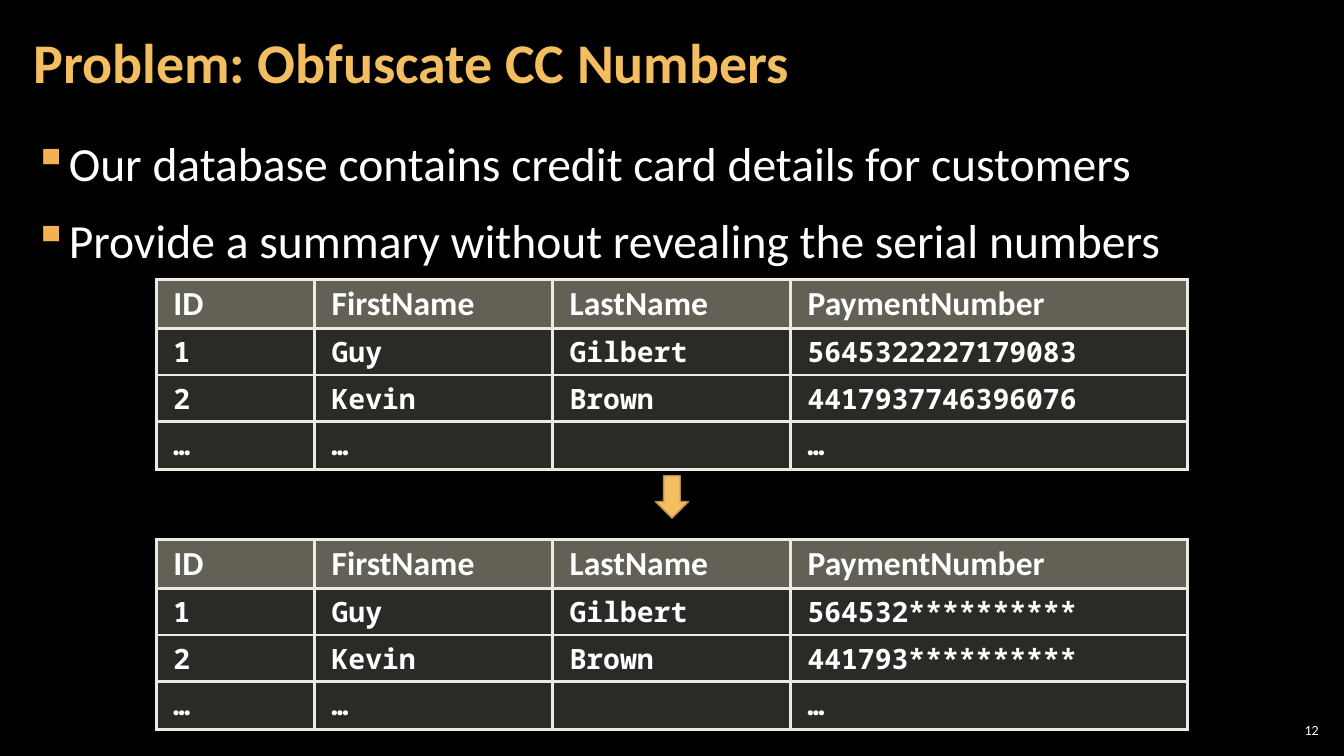
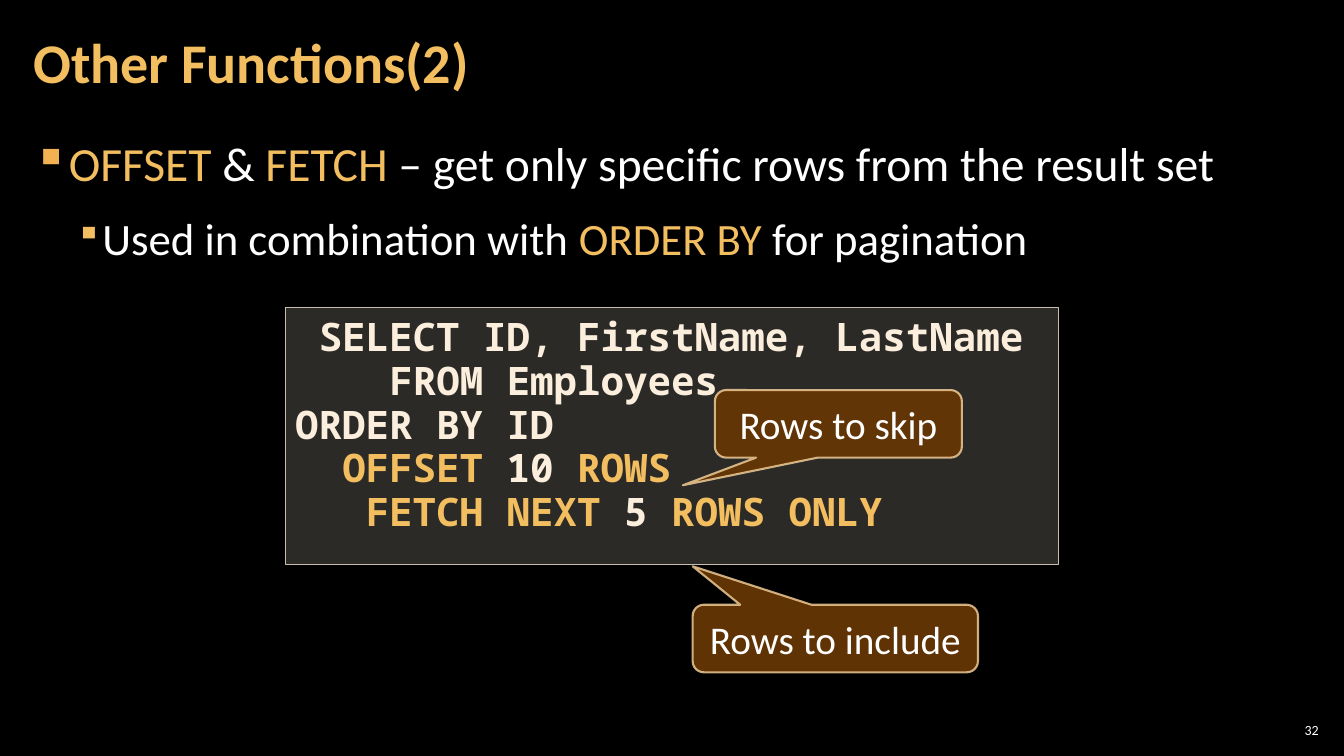
from dataclasses import dataclass

from lxml import etree
from pptx import Presentation
from pptx.dml.color import RGBColor
from pptx.enum import shapes, text
from pptx.oxml.ns import qn
from pptx.util import Inches, Pt

GOLD = RGBColor(0xF3, 0xBE, 0x60)
BULLET_GOLD = RGBColor(0xF2, 0xB2, 0x54)
ARROW_EDGE = RGBColor(0xB4, 0x8D, 0x47)
WHITE = RGBColor(0xFF, 0xFF, 0xFF)
BLACK = RGBColor(0x00, 0x00, 0x00)
CREAM = RGBColor(0xFB, 0xEE, 0xDC)
HEADER_FILL = RGBColor(0xC6, 0xC0, 0xAA)
PANEL_FILL = RGBColor(0xD9, 0xD5, 0xC7)
PANEL_EDGE = RGBColor(0xC7, 0xBF, 0xAC)
GRID = RGBColor(0xEC, 0xEA, 0xE3)
CALLOUT_FILL = RGBColor(0x66, 0x36, 0x06)
CALLOUT_EDGE = RGBColor(0xF8, 0xD4, 0x9E)

SANS = "Calibri"
MONO = "Noto Sans Mono"
CODE_SIZE = 28
CODE_CHAR_WIDTH = Pt(0.6 * CODE_SIZE)

TABLE_LEFT = 1.55
COLUMN_WIDTHS = (1.57, 2.36, 2.36, 3.94)
ROW_HEIGHTS = (0.49, 0.46, 0.46, 0.48)


@dataclass(frozen=True)
class Span:
    text: str
    color: RGBColor = WHITE


@dataclass(frozen=True)
class Bullet:
    spans: tuple[Span, ...]
    level: int = 0


@dataclass(frozen=True)
class BulletStyle:
    size: int
    indent: float
    hanging: float
    color: RGBColor
    percent: int


@dataclass(frozen=True)
class CodeLine:
    indent: int
    spans: tuple[Span, ...]


@dataclass(frozen=True)
class Callout:
    label: str
    left: float
    top: float
    width: float
    tip: tuple[float, float]


BULLET_STYLES = (
    BulletStyle(34, 0.33, 0.33, BULLET_GOLD, 100),
    BulletStyle(32, 0.67, 0.25, GOLD, 80),
)

CARD_BULLETS = (
    Bullet((Span("Our database contains credit card details for customers"),)),
    Bullet((Span("Provide a summary without revealing the serial numbers"),)),
)

PAGING_BULLETS = (
    Bullet((Span("OFFSET ", GOLD), Span("&"), Span(" FETCH ", GOLD),
            Span("– get only specific rows from the result set"))),
    Bullet((Span("Used in combination with "), Span("ORDER BY ", GOLD),
            Span("for pagination")), level=1),
)

QUERY = (
    CodeLine(1, (Span("SELECT ID, FirstName, LastName", CREAM),)),
    CodeLine(4, (Span("FROM Employees", CREAM),)),
    CodeLine(0, (Span("ORDER BY ID", CREAM),)),
    CodeLine(2, (Span("OFFSET", GOLD), Span(" 10 ", CREAM), Span("ROWS", GOLD))),
    CodeLine(3, (Span("FETCH NEXT", GOLD), Span(" 5 ", CREAM), Span("ROWS ONLY", GOLD))),
)

CALLOUTS = (
    Callout("Rows to skip", 7.09, 3.87, 2.45, (-0.63, 0.91)),
    Callout("Rows to include", 6.87, 6, 2.83, (-0.5, -1.07)),
)


def set_font(para, name: str, size: int, color: RGBColor | None = None,
             bold: bool = False) -> None:
    para.font.name = name
    para.font.size = Pt(size)
    para.font.bold = bold
    if color is not None:
        para.font.color.rgb = color


def add_spans(para, spans: tuple[Span, ...]) -> None:
    for span in spans:
        run = para.add_run()
        run.text = span.text
        run.font.color.rgb = span.color


def set_margins(frame, side: float, end: float) -> None:
    frame.margin_left = frame.margin_right = Inches(side)
    frame.margin_top = frame.margin_bottom = Inches(end)


def paragraphs(frame, count: int) -> list:
    """Give the frame the wanted number of paragraphs and return them."""
    return [frame.paragraphs[0]] + [frame.add_paragraph() for _ in range(count - 1)]


def set_alpha(solid_fill, percent: int) -> None:
    color = solid_fill.find(qn("a:srgbClr"))
    etree.SubElement(color, qn("a:alpha"), val=str(percent * 1000))


def style_shape(shape, fill: RGBColor, edge: RGBColor, width: float) -> None:
    shape.shadow.inherit = False
    shape.fill.solid()
    shape.fill.fore_color.rgb = fill
    shape.line.color.rgb = edge
    shape.line.width = Pt(width)


def set_bullet(para, style: BulletStyle) -> None:
    props = para._p.get_or_add_pPr()
    props.set("marL", str(Inches(style.indent)))
    props.set("indent", str(-Inches(style.hanging)))
    color = etree.SubElement(props, qn("a:buClr"))
    etree.SubElement(color, qn("a:srgbClr"), val=str(style.color))
    etree.SubElement(props, qn("a:buSzPct"), val=str(style.percent * 1000))
    etree.SubElement(props, qn("a:buChar"), char="▪")


def add_page(deck, title: str, number: int):
    page = deck.slides.add_slide(deck.slide_layouts[5])
    box = page.shapes.title
    box.left, box.top = Inches(0.21), Inches(0.04)
    box.width, box.height = Inches(10.47), Inches(1.21)
    frame = box.text_frame
    frame.text = title
    frame.auto_size = text.MSO_AUTO_SIZE.NONE
    frame.vertical_anchor = text.MSO_ANCHOR.MIDDLE
    set_margins(frame, 0.12, 0.04)
    para = frame.paragraphs[0]
    para.alignment = text.PP_ALIGN.LEFT
    para.line_spacing = 0.9
    set_font(para, SANS, 40, GOLD, bold=True)

    box = page.shapes.add_textbox(Inches(12.65), Inches(7.14), Inches(0.47), Inches(0.21))
    frame = box.text_frame
    frame.word_wrap = True
    frame.vertical_anchor = text.MSO_ANCHOR.MIDDLE
    set_margins(frame, 0.04, 0.04)
    para = frame.paragraphs[0]
    para.text = str(number)
    para.alignment = text.PP_ALIGN.RIGHT
    set_font(para, SANS, 10, WHITE)
    return page


def add_bullets(page, bullets: tuple[Bullet, ...]) -> None:
    box = page.shapes.add_textbox(Inches(0.21), Inches(1.26), Inches(12.91), Inches(6.09))
    frame = box.text_frame
    frame.word_wrap = True
    set_margins(frame, 0.12, 0.04)
    for para, bullet in zip(paragraphs(frame, len(bullets)), bullets):
        style = BULLET_STYLES[bullet.level]
        para.level = bullet.level
        para.line_spacing = 1.05
        para.space_before = para.space_after = Pt(6)
        set_bullet(para, style)
        set_font(para, SANS, style.size)
        add_spans(para, bullet.spans)


def add_borders(cell) -> None:
    props = cell._tc.get_or_add_tcPr()
    for side in ("lnL", "lnR", "lnT", "lnB"):
        line = etree.SubElement(props, qn(f"a:{side}"), w=str(Pt(2.25)))
        fill = etree.SubElement(line, qn("a:solidFill"))
        etree.SubElement(fill, qn("a:srgbClr"), val=str(GRID))


def fill_cell(cell, value: str, header: bool) -> None:
    cell.margin_left = cell.margin_right = Inches(0.17)
    cell.margin_top = cell.margin_bottom = Inches(0.05)
    add_borders(cell)
    cell.fill.solid()
    cell.fill.fore_color.rgb = HEADER_FILL if header else PANEL_FILL
    set_alpha(cell._tc.tcPr.find(qn("a:solidFill")), 50 if header else 20)
    para = cell.text_frame.paragraphs[0]
    para.text = value
    para.line_spacing = 0.95
    set_font(para, SANS if header else MONO, 24 if header else 20, WHITE, bold=True)


def add_customers(page, top: float, numbers: tuple[str, str]) -> None:
    """Draw the customer table with the given payment numbers."""
    rows = (
        ("ID", "FirstName", "LastName", "PaymentNumber"),
        ("1", "Guy", "Gilbert", numbers[0]),
        ("2", "Kevin", "Brown", numbers[1]),
        ("…", "…", "", "…"),
    )
    table = page.shapes.add_table(
        len(rows), len(COLUMN_WIDTHS), Inches(TABLE_LEFT), Inches(top),
        Inches(sum(COLUMN_WIDTHS)), Inches(sum(ROW_HEIGHTS))).table
    table.horz_banding = False
    for column, width in zip(table.columns, COLUMN_WIDTHS):
        column.width = Inches(width)
    for row_index, (row, height) in enumerate(zip(rows, ROW_HEIGHTS)):
        table.rows[row_index].height = Inches(height)
        for column_index, value in enumerate(row):
            fill_cell(table.cell(row_index, column_index), value, row_index == 0)


def add_code(page, lines: tuple[CodeLine, ...]) -> None:
    panel = page.shapes.add_shape(shapes.MSO_SHAPE.RECTANGLE, Inches(2.83), Inches(3.05),
                                  Inches(7.67), Inches(2.55))
    style_shape(panel, PANEL_FILL, PANEL_EDGE, 1)
    set_alpha(panel._element.spPr.find(qn("a:solidFill")), 20)
    frame = panel.text_frame
    frame.word_wrap = True
    frame.vertical_anchor = text.MSO_ANCHOR.TOP
    frame.margin_top, frame.margin_bottom = Inches(0.09), 0
    for para, line in zip(paragraphs(frame, len(lines)), lines):
        para.alignment = text.PP_ALIGN.LEFT
        para.line_spacing = 0.93
        para._p.get_or_add_pPr().set("marL", str(line.indent * CODE_CHAR_WIDTH))
        set_font(para, MONO, CODE_SIZE, bold=True)
        add_spans(para, line.spans)


def add_callout(page, callout: Callout) -> None:
    bubble = page.shapes.add_shape(
        shapes.MSO_SHAPE.ROUNDED_RECTANGULAR_CALLOUT, Inches(callout.left),
        Inches(callout.top), Inches(callout.width), Inches(0.67))
    bubble.adjustments[0], bubble.adjustments[1] = callout.tip
    style_shape(bubble, CALLOUT_FILL, CALLOUT_EDGE, 1.5)
    props = bubble._element.spPr
    set_alpha(props.find(qn("a:solidFill")), 95)
    set_alpha(props.find(qn("a:ln")).find(qn("a:solidFill")), 80)
    frame = bubble.text_frame
    frame.word_wrap = True
    frame.vertical_anchor = text.MSO_ANCHOR.MIDDLE
    set_margins(frame, 0.05, 0.05)
    para = frame.paragraphs[0]
    para.text = callout.label
    para.alignment = text.PP_ALIGN.CENTER
    set_font(para, SANS, 28, WHITE)


def build_card_page(deck) -> None:
    page = add_page(deck, "Problem: Obfuscate CC Numbers", 12)
    add_bullets(page, CARD_BULLETS)
    add_customers(page, 2.77, ("5645322227179083", "4417937746396076"))
    add_customers(page, 5.35, ("564532**********", "441793**********"))
    arrow = page.shapes.add_shape(shapes.MSO_SHAPE.DOWN_ARROW, Inches(6.5), Inches(4.72),
                                  Inches(0.33), Inches(0.42))
    style_shape(arrow, GOLD, ARROW_EDGE, 1)


def build_paging_page(deck) -> None:
    page = add_page(deck, "Other Functions(2)", 32)
    add_bullets(page, PAGING_BULLETS)
    add_code(page, QUERY)
    for callout in CALLOUTS:
        add_callout(page, callout)


def main() -> None:
    deck = Presentation()
    deck.slide_width, deck.slide_height = Inches(13.33), Inches(7.5)
    backdrop = deck.slide_master.background.fill
    backdrop.solid()
    backdrop.fore_color.rgb = BLACK
    build_card_page(deck)
    build_paging_page(deck)
    deck.save("out.pptx")


if __name__ == "__main__":
    main()
